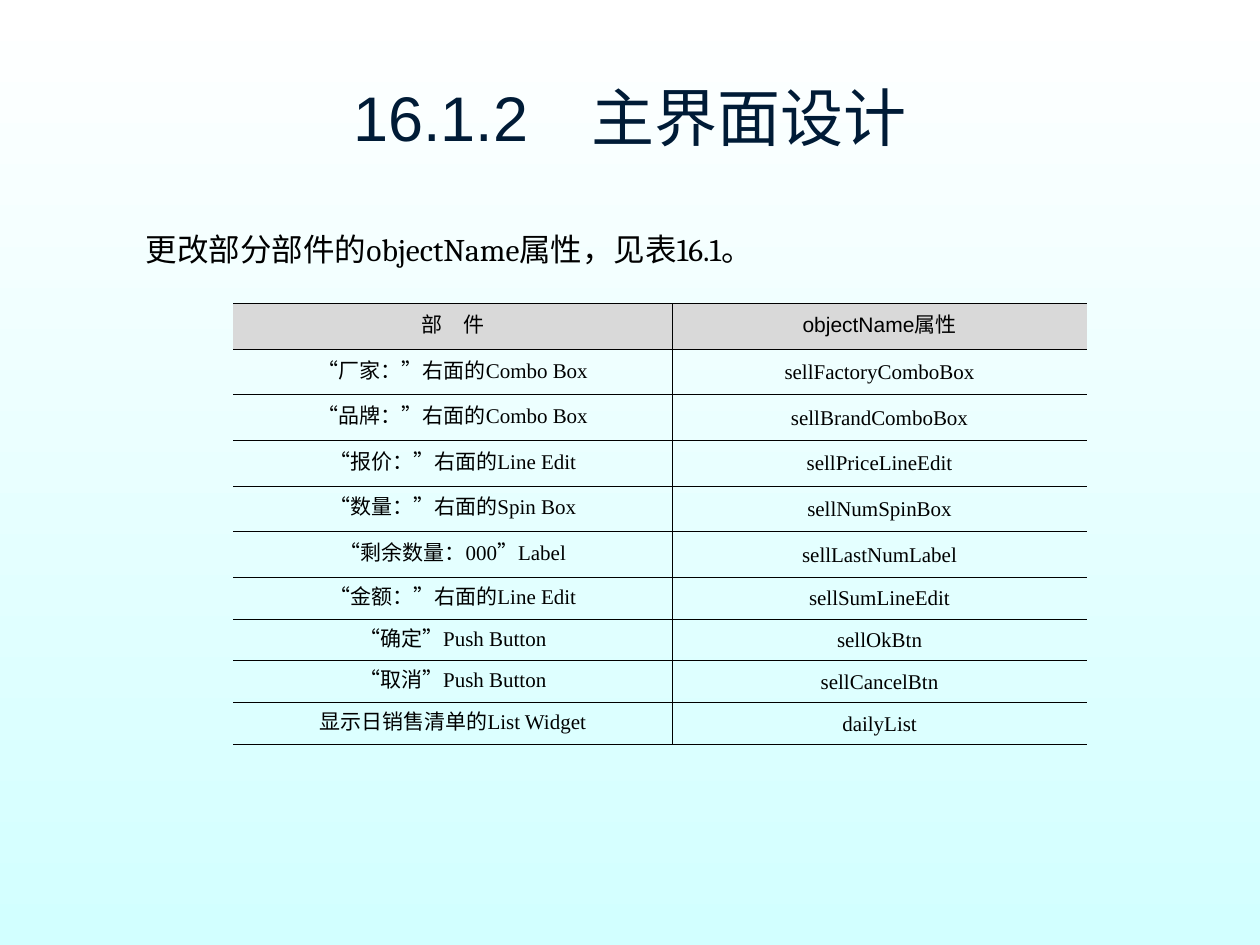
import pptx
import pptx.util
import pptx.dml.color
import pptx.enum.text
import pptx.oxml

WHITE = pptx.dml.color.RGBColor(0xFF, 0xFF, 0xFF)
PALE_CYAN = pptx.dml.color.RGBColor(0xD2, 0xFF, 0xFF)
NAVY = pptx.dml.color.RGBColor(0x00, 0x1B, 0x36)
BLACK = pptx.dml.color.RGBColor(0x00, 0x00, 0x00)
GRAY = pptx.dml.color.RGBColor(0xD9, 0xD9, 0xD9)

# The page is a grid of 40 columns and 30 rows.
UNIT = pptx.util.Inches(0.25)
PAGE_COLUMNS, PAGE_ROWS = 40, 30
TITLE_BOX = (2, 1.2, 36, 5)
INTRO_BOX = (4.24, 7.12, 21, 1.6)
TABLE_BOX = (7.4, 9.64, 27.1, 14)

COLUMN_WEIGHTS = (3.49, 3.29)
ROW_WEIGHTS = (12,) * 6 + (11,) * 4
WIDGET_NAMES = (
    ("部　件", "objectName属性"),
    ("“厂家：”右面的Combo Box", "sellFactoryComboBox"),
    ("“品牌：”右面的Combo Box", "sellBrandComboBox"),
    ("“报价：”右面的Line Edit", "sellPriceLineEdit"),
    ("“数量：”右面的Spin Box", "sellNumSpinBox"),
    ("“剩余数量：000”Label", "sellLastNumLabel"),
    ("“金额：”右面的Line Edit", "sellSumLineEdit"),
    ("“确定”Push Button", "sellOkBtn"),
    ("“取消”Push Button", "sellCancelBtn"),
    ("显示日销售清单的List Widget", "dailyList"),
)
BORDER_WIDTH = pptx.util.Pt(0.45)


def to_lengths(box):
    return [int(cells * UNIT) for cells in box]


def share_out(total, weights):
    return [int(total * weight / sum(weights)) for weight in weights]


def format_paragraph(para, font_name, size, color, alignment):
    para.alignment = alignment
    for span in para.runs:
        span.font.name = font_name
        span.font.size = pptx.util.Pt(size)
        span.font.bold = False
        span.font.color.rgb = color


def paint_background(page):
    fill = page.background.fill
    fill.gradient()
    fill.gradient_angle = 270
    for stop, color in zip(fill.gradient_stops, (WHITE, PALE_CYAN)):
        stop.color.rgb = color


def add_title(page, box):
    frame = page.shapes.add_textbox(*to_lengths(box)).text_frame
    frame.word_wrap = True
    frame.vertical_anchor = pptx.enum.text.MSO_ANCHOR.MIDDLE
    frame.text = "16.1.2　主界面设计"
    format_paragraph(frame.paragraphs[0], "Arial", 36, NAVY,
                     pptx.enum.text.PP_ALIGN.CENTER)


def add_intro(page, box):
    frame = page.shapes.add_textbox(*to_lengths(box)).text_frame
    frame.word_wrap = False
    frame.auto_size = pptx.enum.text.MSO_AUTO_SIZE.SHAPE_TO_FIT_TEXT
    frame.text = "更改部分部件的objectName属性，见表16.1。"
    format_paragraph(frame.paragraphs[0], "Cambria", 18, BLACK,
                     pptx.enum.text.PP_ALIGN.LEFT)


def set_borders(cell, visible_sides):
    """Draw the named sides (L, R, T, B) and hide the others; call before filling."""
    properties = cell._tc.get_or_add_tcPr()
    namespace = "http://schemas.openxmlformats.org/drawingml/2006/main"
    for side in "LRTB":
        paint = (f'<a:solidFill><a:srgbClr val="{BLACK}"/></a:solidFill>'
                 if side in visible_sides else "<a:noFill/>")
        properties.append(pptx.oxml.parse_xml(
            f'<a:ln{side} xmlns:a="{namespace}" w="{BORDER_WIDTH}">'
            f"{paint}</a:ln{side}>"))


def fill_cell(cell, text, is_header, visible_sides):
    set_borders(cell, visible_sides)
    if is_header:
        cell.fill.solid()
        cell.fill.fore_color.rgb = GRAY
    else:
        cell.fill.background()
    cell.vertical_anchor = pptx.enum.text.MSO_ANCHOR.MIDDLE
    cell.margin_left = cell.margin_right = pptx.util.Inches(0.08)
    cell.text_frame.text = text
    para = cell.text_frame.paragraphs[0]
    para.line_spacing = pptx.util.Pt(14)
    format_paragraph(para, "Arial" if is_header else "Times New Roman", 12,
                     BLACK, pptx.enum.text.PP_ALIGN.CENTER)


def add_name_table(page, box):
    left, top, width, height = to_lengths(box)
    table = page.shapes.add_table(len(WIDGET_NAMES), len(COLUMN_WEIGHTS),
                                  left, top, width, height).table
    table.first_row = table.horz_banding = False
    for column, column_width in zip(table.columns, share_out(width, COLUMN_WEIGHTS)):
        column.width = column_width
    for row, row_height in zip(table.rows, share_out(height, ROW_WEIGHTS)):
        row.height = row_height
    for row_index, texts in enumerate(WIDGET_NAMES):
        for column_index, (text, sides) in enumerate(zip(texts, ("RTB", "LTB"))):
            fill_cell(table.cell(row_index, column_index), text,
                      row_index == 0, sides)


def main():
    deck = pptx.Presentation()
    deck.slide_width = PAGE_COLUMNS * UNIT
    deck.slide_height = PAGE_ROWS * UNIT
    page = deck.slides.add_slide(deck.slide_layouts[6])
    paint_background(page)
    add_title(page, TITLE_BOX)
    add_intro(page, INTRO_BOX)
    add_name_table(page, TABLE_BOX)
    deck.save("out.pptx")


if __name__ == "__main__":
    main()
